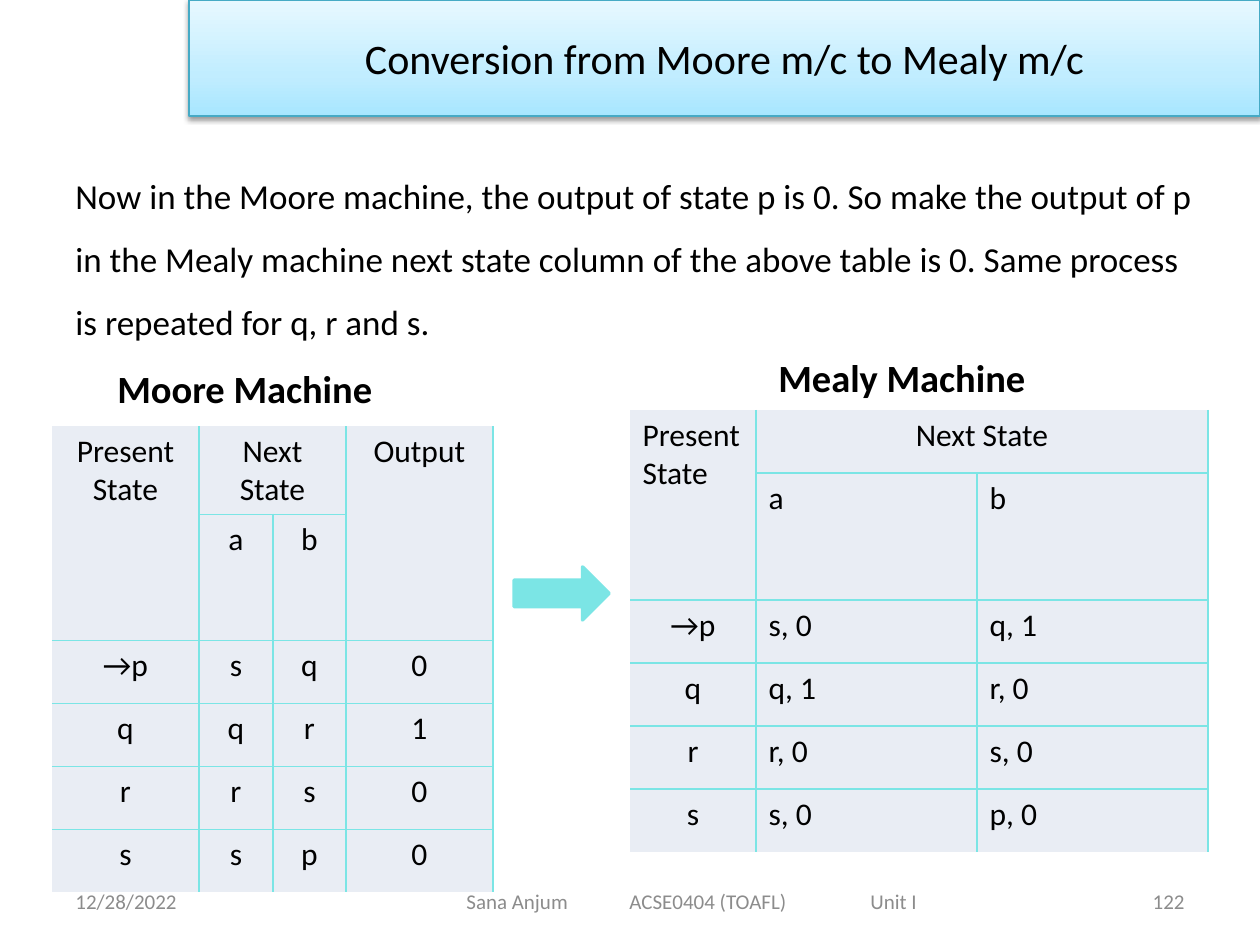
import copy
import lxml.etree
import pptx
import pptx.util
import pptx.dml.color
import pptx.enum.shapes
import pptx.enum.text
import pptx.oxml.ns

SCALE = 914400 / 126
RGB = pptx.dml.color.RGBColor.from_string
ALIGN = pptx.enum.text.PP_ALIGN
MID = pptx.enum.text.MSO_ANCHOR.MIDDLE
SHAPE = pptx.enum.shapes.MSO_SHAPE
Pt = pptx.util.Pt
qn = pptx.oxml.ns.qn
sub = lxml.etree.SubElement
theme = dict(
    font="Calibri", ink="000000", grey="8C8C8C", aqua="7BE5E5", cell="E9EDF4", edge="46AAC5",
    fade=((0, "A7E6FF"), (0.35, "C1EDFF"), (1, "E7F8FF")),
    title=24, head=22, body=20, table=18, foot=12,
)


def px(*nums):
    return [pptx.util.Emu(round(n * SCALE)) for n in nums]


def write(frame, text, size, align=ALIGN.LEFT, ink="ink", bold=False):
    frame.word_wrap = True
    para = frame.paragraphs[0]
    para.text = text
    para.alignment = align
    para.font.name = theme["font"]
    para.font.size = Pt(theme[size])
    para.font.bold = bold
    para.font.color.rgb = RGB(theme[ink])
    return para


deck = pptx.Presentation()
deck.slide_width, deck.slide_height = px(1260, 945)
slide = deck.slides.add_slide(deck.slide_layouts[6])
shapes = slide.shapes

# Title banner
banner = shapes.add_shape(SHAPE.RECTANGLE, *px(189, 0, 1071, 116))
banner.fill.gradient()
banner.fill.gradient_angle = 90
stops = banner.element.spPr.find(".//" + qn("a:gsLst"))
stops.append(copy.deepcopy(stops[0]))
for stop, (pos, tone) in zip(banner.fill.gradient_stops, theme["fade"]):
    stop.position = pos
    stop.color.rgb = RGB(tone)
banner.line.color.rgb = RGB(theme["edge"])
banner.line.width = Pt(0.75)
banner.shadow.inherit = False
shade = sub(banner.element.spPr.find(qn("a:effectLst")), qn("a:outerShdw"),
            blurRad=str(Pt(3.1)), dist=str(Pt(1.6)), dir="5400000", rotWithShape="0")
tint = sub(shade, qn("a:srgbClr"), val="000000")
sub(tint, qn("a:alpha"), val="38000")
banner.text_frame.vertical_anchor = MID
write(banner.text_frame, "Conversion from Moore m/c to Mealy m/c", "title", ALIGN.CENTER)

# Explanation and table headings
note = shapes.add_textbox(*px(63, 147, 1155, 197))
write(note.text_frame,
      "Now in the Moore machine, the output of state p is 0. So make the output of p "
      "in the Mealy machine next state column of the above table is 0. Same process "
      "is repeated for q, r and s.", "body").line_spacing = 1.5
for text, box in (("Moore Machine", (105, 359, 347, 59)), ("Mealy Machine", (766, 348, 273, 59))):
    write(shapes.add_textbox(*px(*box)).text_frame, text, "head", bold=True)

# Tables: place, column widths, row heights, merged ranges, left-aligned cells, values
mealy = dict(
    at=(630, 410), cols=(126, 221, 231), rows=(63, 127, 63, 63, 63, 63),
    joins=((0, 0, 1, 0), (0, 1, 0, 2)),
    left=lambda r, c: (r > 0 and c > 0) or (r == 0 and c == 0),
    data=(("Present State", "Next State", ""), ("", "a", "b"),
          ("→p", "s, 0", "q, 1"), ("q", "q, 1", "r, 0"),
          ("r", "r, 0", "s, 0"), ("s", "s, 0", "p, 0")),
)
moore = dict(
    at=(52, 426), cols=(147, 74, 73, 147), rows=(88, 126, 63, 63, 63, 63),
    joins=((0, 0, 1, 0), (0, 1, 0, 2), (0, 3, 1, 3)),
    left=lambda r, c: False,
    data=(("Present State", "Next State", "", "Output"), ("", "a", "b", ""),
          ("→p", "s", "q", "0"), ("q", "q", "r", "1"),
          ("r", "r", "s", "0"), ("s", "s", "p", "0")),
)
for plan in (mealy, moore):
    cols, rows = plan["cols"], plan["rows"]
    table = shapes.add_table(len(rows), len(cols), *px(*plan["at"], sum(cols), sum(rows))).table
    table.first_row = table.horz_banding = False
    for col, wide in zip(table.columns, px(*cols)):
        col.width = wide
    for row, high in zip(table.rows, px(*rows)):
        row.height = high
    for top, left, low, right in plan["joins"]:
        table.cell(top, left).merge(table.cell(low, right))
    for r, line in enumerate(plan["data"]):
        for c, text in enumerate(line):
            cell = table.cell(r, c)
            if cell.is_spanned:
                continue
            write(cell.text_frame, text, "table",
                  ALIGN.LEFT if plan["left"](r, c) else ALIGN.CENTER)
            props = cell._tc.get_or_add_tcPr()
            last = r + cell.span_height == len(rows)
            for side, shown in (("L", c > 0), ("R", True), ("T", r > 0), ("B", not last)):
                rule = sub(props, qn("a:ln" + side), w=str(Pt(1)))
                if shown:
                    fill = sub(rule, qn("a:solidFill"))
                    sub(fill, qn("a:srgbClr"), val=theme["aqua"])
                else:
                    sub(rule, qn("a:noFill"))
            cell.fill.solid()
            cell.fill.fore_color.rgb = RGB(theme["cell"])

# Arrow from Moore to Mealy
arrow = shapes.add_shape(SHAPE.RIGHT_ARROW, *px(514, 567, 95, 53))
arrow.shadow.inherit = False
arrow.fill.solid()
arrow.fill.fore_color.rgb = arrow.line.color.rgb = RGB(theme["aqua"])
arrow.line.width = Pt(2)

# Footer
for text, box, align in (
    ("12/28/2022", (63, 876, 294, 50), ALIGN.LEFT),
    ("Sana Anjum\tACSE0404 (TOAFL)\tUnit I", (454, 876, 585, 50), ALIGN.LEFT),
    ("122", (903, 876, 294, 50), ALIGN.RIGHT),
):
    frame = shapes.add_textbox(*px(*box)).text_frame
    frame.vertical_anchor = MID
    para = write(frame, text, "foot", align, "grey")
    if "\t" in text:
        tabs = lxml.etree.Element(qn("a:tabLst"))
        for stop in px(163, 404):
            sub(tabs, qn("a:tab"), pos=str(stop), algn="l")
        para._p.get_or_add_pPr().insert(0, tabs)

deck.save("out.pptx")
